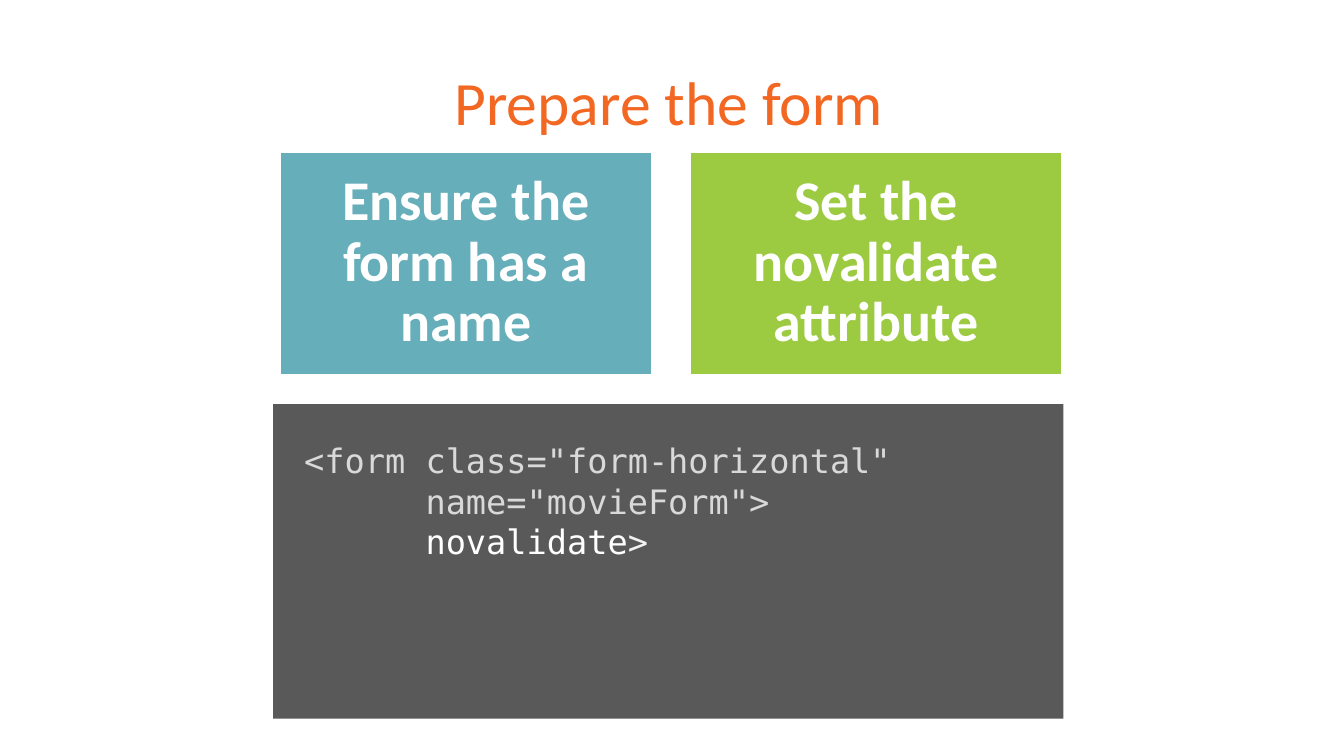
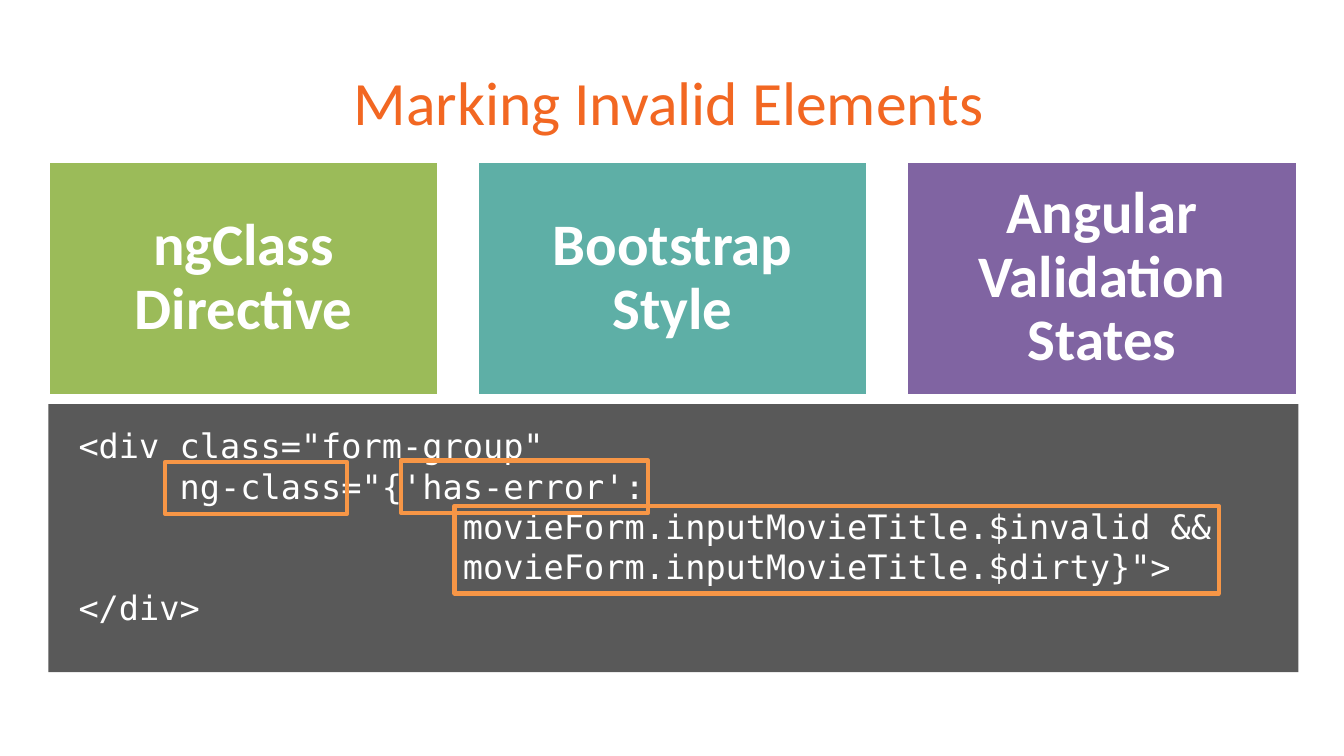
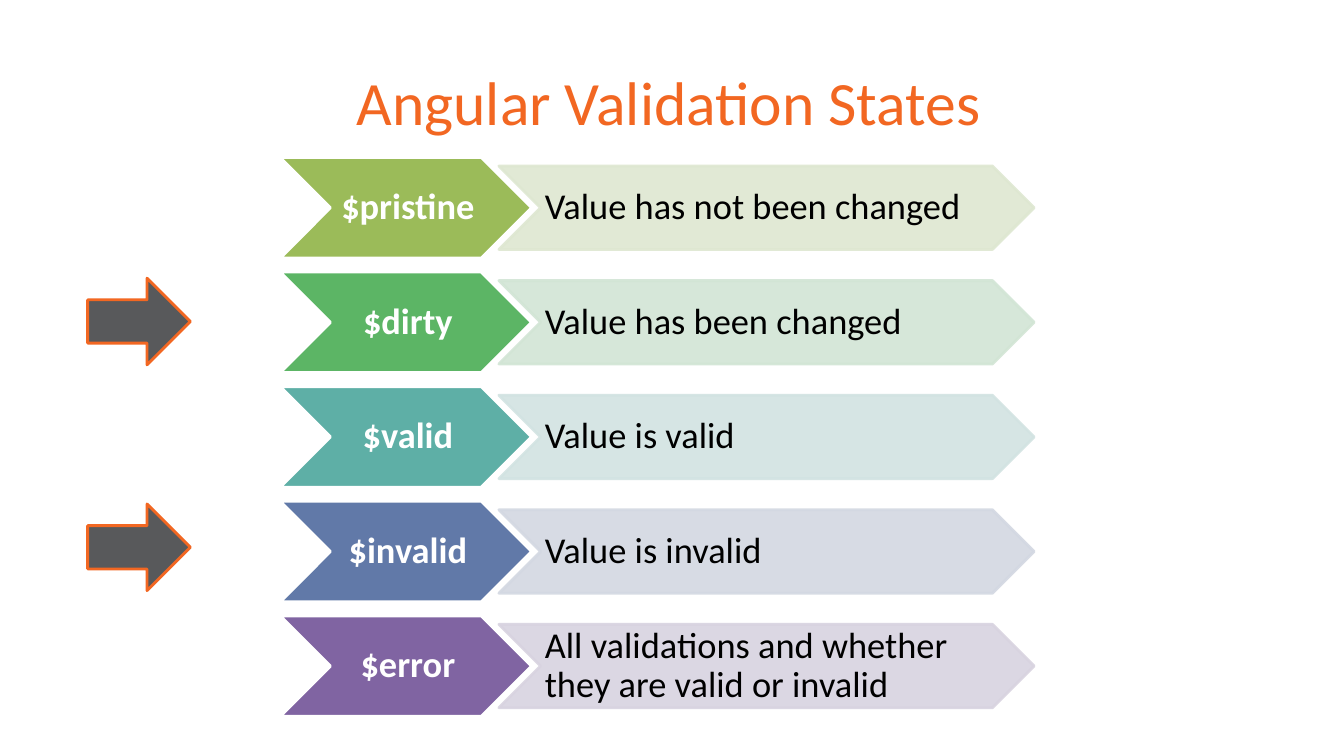
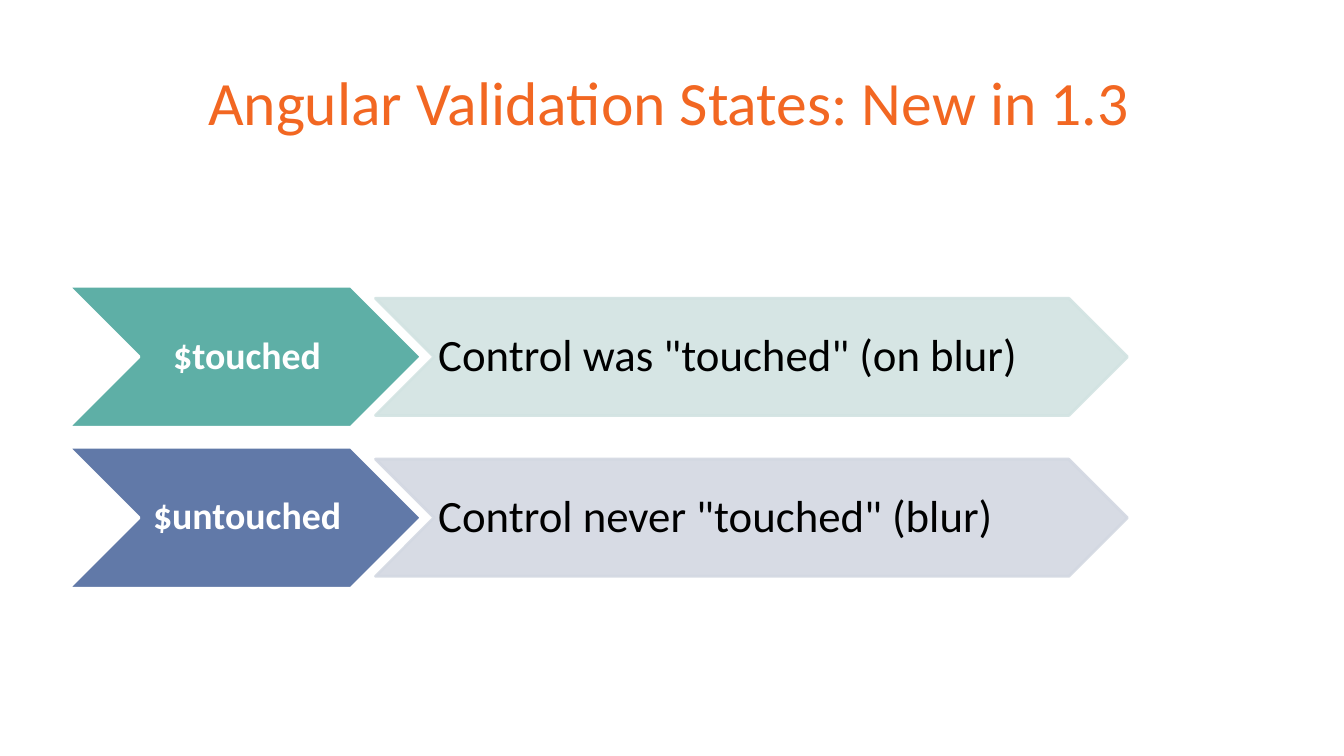
"""Build four slides on marking invalid form elements with Angular."""
from dataclasses import dataclass
from typing import Any, NamedTuple

from lxml import etree
from pptx import Presentation
from pptx import util as u
from pptx.dml import color
from pptx.enum import shapes, text
from pptx.oxml import ns


@dataclass(frozen=True)
class Theme:
    title: str = "F26722"
    white: str = "FFFFFF"
    black: str = "000000"
    panel: str = "595959"
    arrow: str = "58595B"
    highlight: str = "F79646"
    code_dim: str = "D9D9D9"
    code_soft: str = "F2F2F2"
    aqua: str = "66AEBA"
    lime: str = "9CCB42"
    olive: str = "9BBB59"
    green: str = "5CB565"
    teal: str = "5EAFA6"
    blue: str = "6179A8"
    purple: str = "8064A2"
    olive_tint: str = "DEE7D1"
    green_tint: str = "D2E5D5"
    teal_tint: str = "D2E3E2"
    blue_tint: str = "D3D8E2"
    purple_tint: str = "D8D3E0"
    body_font: str = "Calibri"
    code_font: str = "DejaVu Sans Mono"
    title_size: float = 44
    code_size: float = 24
    outline: float = 2
    highlight_outline: float = 3


THEME = Theme()
RECTANGLE = shapes.MSO_SHAPE.RECTANGLE
CHEVRON = shapes.MSO_SHAPE.CHEVRON
ARROW = shapes.MSO_SHAPE.RIGHT_ARROW
CENTER = text.PP_ALIGN.CENTER
LEFT = text.PP_ALIGN.LEFT


class Box(NamedTuple):
    left: float
    top: float
    width: float
    height: float


class Span(NamedTuple):
    words: str
    colour: str = THEME.white


class Insets(NamedTuple):
    left: float
    top: float
    right: float
    bottom: float


@dataclass(frozen=True)
class Style:
    size: float
    font: str = THEME.body_font
    bold: bool = False
    align: Any = CENTER
    anchor: Any = text.MSO_ANCHOR.MIDDLE
    spacing: float = 0.9
    insets: Insets = Insets(7.2, 3.6, 7.2, 3.6)


@dataclass(frozen=True)
class Tile:
    label: str
    colour: str


@dataclass(frozen=True)
class State:
    name: str
    meaning: str
    colour: str
    tint: str


TILE_INSETS = Insets(12.2, 12.2, 12.2, 12.2)
STATE_INSETS = Insets(3, 1.5, 0, 1.5)
TITLE_STYLE = Style(THEME.title_size, spacing=0.85, insets=Insets(0, 3.6, 7.2, 3.6))
CODE_STYLE = Style(THEME.code_size, THEME.code_font, align=LEFT,
                   anchor=text.MSO_ANCHOR.TOP, spacing=1)


def assign(target: Any, values: dict[str, Any]) -> None:
    for name, value in values.items():
        setattr(target, name, value)


def rgb(value: str) -> color.RGBColor:
    return color.RGBColor.from_string(value)


def points(box: Box) -> list[u.Pt]:
    return [u.Pt(length) for length in box]


def write(frame: Any, lines: list[list[Span]], style: Style) -> None:
    assign(frame, {"word_wrap": True, "vertical_anchor": style.anchor})
    assign(frame, {f"margin_{side}": u.Pt(gap)
                   for side, gap in style.insets._asdict().items()})
    for index, line in enumerate(lines):
        paragraph = frame.add_paragraph() if index else frame.paragraphs[0]
        assign(paragraph, {"alignment": style.align, "line_spacing": style.spacing})
        for span in line:
            run = paragraph.add_run()
            run.text = span.words
            assign(run.font, {"name": style.font, "size": u.Pt(style.size),
                              "bold": style.bold})
            run.font.color.rgb = rgb(span.colour)


def draw_text(slide: Any, box: Box, lines: list[list[Span]], style: Style) -> None:
    write(slide.shapes.add_textbox(*points(box)).text_frame, lines, style)


def draw_shape(slide: Any, preset: Any, box: Box, fill: str | None = None,
               outline: str | None = None, weight: float = THEME.outline) -> Any:
    shape = slide.shapes.add_shape(preset, *points(box))
    shape.shadow.inherit = False
    if fill:
        shape.fill.solid()
        shape.fill.fore_color.rgb = rgb(fill)
    else:
        shape.fill.background()
    if outline:
        shape.line.color.rgb = rgb(outline)
        shape.line.width = u.Pt(weight)
    else:
        shape.line.fill.background()
    return shape


def fade(shape: Any, percent: int) -> None:
    for colour in shape.element.spPr.iter(ns.qn("a:srgbClr")):
        etree.SubElement(colour, ns.qn("a:alpha"), val=str(percent * 1000))


def draw_tiles(slide: Any, first: Box, tiles: list[Tile], size: float) -> None:
    style = Style(size, bold=True, insets=TILE_INSETS)
    for column, tile in enumerate(tiles):
        box = first._replace(left=first.left + column * first.width * 1.1)
        shape = draw_shape(slide, RECTANGLE, box, tile.colour, THEME.white)
        write(shape.text_frame, [[Span(tile.label)]], style)


def draw_states(slide: Any, first: Box, meaning_width: float, states: list[State],
                name_size: float, meaning_size: float) -> None:
    name_style = Style(name_size, bold=True, insets=STATE_INSETS)
    meaning_style = Style(meaning_size, align=LEFT, insets=STATE_INSETS)
    for row, state in enumerate(states):
        name_box = first._replace(top=first.top + row * first.height * 1.14)
        meaning_box = Box(first.left + first.width * 0.87,
                          name_box.top + first.height * 0.085,
                          meaning_width, first.height * 0.83)
        name = draw_shape(slide, CHEVRON, name_box, state.colour, THEME.white)
        write(name.text_frame, [[Span(state.name)]], name_style)
        meaning = draw_shape(slide, CHEVRON, meaning_box, state.tint, state.tint)
        fade(meaning, 90)
        write(meaning.text_frame, [[Span(state.meaning, THEME.black)]], meaning_style)


def add_slide(deck: Any, title: str) -> Any:
    slide = deck.slides.add_slide(deck.slide_layouts[6])
    draw_text(slide, Box(49, 14.4, 864.7, 123.8), [[Span(title, THEME.title)]],
              TITLE_STYLE)
    return slide


def prepare_form(deck: Any) -> None:
    slide = add_slide(deck, "Prepare the form")
    draw_shape(slide, RECTANGLE, Box(195.1, 288.7, 564.5, 224.6), THEME.panel)
    draw_tiles(slide, Box(199.4, 108, 266.5, 159.9),
               [Tile("Ensure the form has a name", THEME.aqua),
                Tile("Set the novalidate attribute", THEME.lime)], 40)
    code = [[Span('<form class="form-horizontal"', THEME.code_dim)],
            [Span('      name="movieForm">', THEME.code_dim)],
            [Span("      novalidate"), Span(">", THEME.code_soft)]]
    draw_text(slide, Box(210.2, 311, 560.9, 123.8), code, CODE_STYLE)


def marking_invalid(deck: Any) -> None:
    slide = add_slide(deck, "Marking Invalid Elements")
    draw_tiles(slide, Box(34.6, 115.2, 278.7, 167.2),
               [Tile("ngClass Directive", THEME.olive),
                Tile("Bootstrap Style", THEME.teal),
                Tile("Angular Validation States", THEME.purple)], 42)
    draw_shape(slide, RECTANGLE, Box(34.6, 288.7, 892.8, 191.5), THEME.panel)
    code = ['<div class="form-group"',
            "     ng-class=\"{'has-error':",
            "                   movieForm.inputMovieTitle.$invalid &&",
            '                   movieForm.inputMovieTitle.$dirty}">',
            "</div>"]
    draw_text(slide, Box(49, 300.2, 864.7, 152.6), [[Span(line)] for line in code],
              CODE_STYLE)
    for highlight in (Box(118.1, 329.8, 129.6, 37.4), Box(286.6, 329, 176.4, 37.4),
                      Box(324.7, 361.4, 545.8, 62.6)):
        draw_shape(slide, RECTANGLE, highlight, outline=THEME.highlight,
                   weight=THEME.highlight_outline)


def validation_states(deck: Any) -> None:
    slide = add_slide(deck, "Angular Validation States")
    states = [
        State("$pristine", "Value has not been changed", THEME.olive, THEME.olive_tint),
        State("$dirty", "Value has been changed", THEME.green, THEME.green_tint),
        State("$valid", "Value is valid", THEME.teal, THEME.teal_tint),
        State("$invalid", "Value is invalid", THEME.blue, THEME.blue_tint),
        State("$error", "All validations and whether they are valid or invalid",
              THEME.purple, THEME.purple_tint),
    ]
    draw_states(slide, Box(200.2, 112.5, 179.5, 71.8), 382.3, states, 26, 26)
    for top in (198.7, 360):
        draw_shape(slide, ARROW, Box(62.6, top, 73.4, 61.9), THEME.arrow, THEME.title)


def new_states(deck: Any) -> None:
    slide = add_slide(deck, "Angular Validation States: New in 1.3")
    states = [
        State("$touched", 'Control was "touched" (on blur)',
              THEME.teal, THEME.teal_tint),
        State("$untouched", 'Control never "touched" (blur)',
              THEME.blue, THEME.blue_tint),
    ]
    draw_states(slide, Box(49, 204.5, 252, 100.8), 537.1, states, 27, 32)


def main() -> None:
    deck = Presentation()
    assign(deck, {"slide_width": u.Pt(960), "slide_height": u.Pt(540)})
    for build in (prepare_form, marking_invalid, validation_states, new_states):
        build(deck)
    deck.save("out.pptx")


if __name__ == "__main__":
    main()
